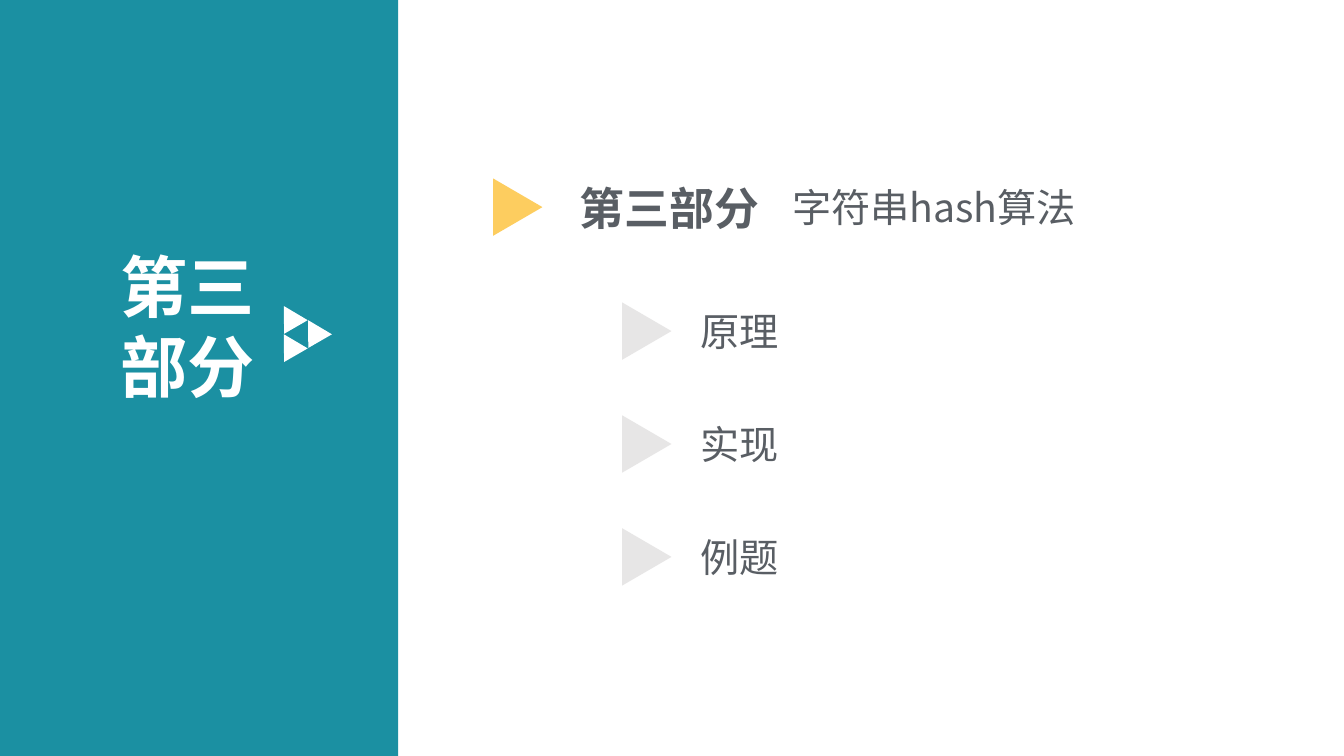
from lxml.etree import SubElement
from pptx import Presentation
from pptx.dml.color import RGBColor
from pptx.enum.shapes import MSO_SHAPE as Preset
from pptx.oxml.ns import qn
from pptx.util import Inches, Pt

WIDTH, HEIGHT = 13.33, 7.5
FONT = "Noto Sans CJK SC"
COLORS = {"panel": "1B90A2", "white": "FFFFFF", "accent": "FDCD5F",
          "text": "595E64", "marker": "E7E6E6"}

PART = "第三部分"
TOPIC = "字符串hash算法"
SECTIONS = ["原理", "实现", "例题"]

PANEL_WIDTH = 3.95
LOGO_SIZE = (0.27, 0.24)
LOGO_SPOTS = [(2.74, 3.02), (2.74, 3.3), (2.98, 3.16)]
MARKER_SIZE = (0.57, 0.49)
SECTION_TOP, SECTION_PITCH = 3.0, 1.12


def add_filled(page, preset, left, top, size, color, rotation=0):
    shape = page.shapes.add_shape(preset, *map(Inches, (left, top, *size)))
    shape.rotation = rotation
    shape.shadow.inherit = False
    shape.fill.solid()
    shape.fill.fore_color.rgb = RGBColor.from_string(COLORS[color])
    shape.line.fill.background()


def add_label(page, text, left, top, width, height, size, color="text", bold=False):
    box = page.shapes.add_textbox(*map(Inches, (left, top, width, height)))
    box.text_frame.word_wrap = True
    para = box.text_frame.paragraphs[0]
    para.text = text
    para.font.name = FONT
    para.font.size = Pt(size)
    para.font.bold = bold
    para.font.color.rgb = RGBColor.from_string(COLORS[color])
    properties = para._p.get_or_add_pPr().find(qn("a:defRPr"))
    SubElement(properties, qn("a:ea"), typeface=FONT)


deck = Presentation()
deck.slide_width, deck.slide_height = Inches(WIDTH), Inches(HEIGHT)
page = deck.slides.add_slide(deck.slide_layouts[6])

add_filled(page, Preset.RECTANGLE, 0, 0, (PANEL_WIDTH, HEIGHT), "panel")
add_label(page, PART, 1.1, 2.38, 1.74, 1.72, 48, "white", True)
for left, top in LOGO_SPOTS:
    add_filled(page, Preset.ISOSCELES_TRIANGLE, left, top, LOGO_SIZE, "white", 330)

add_filled(page, Preset.ISOSCELES_TRIANGLE, 4.85, 1.81, MARKER_SIZE, "accent", 90)
add_label(page, PART, 5.65, 1.74, 2.11, 0.64, 32, bold=True)
add_label(page, TOPIC, 7.76, 1.77, 4, 0.57, 28)

for row, section in enumerate(SECTIONS):
    top = SECTION_TOP + row * SECTION_PITCH
    add_filled(page, Preset.ISOSCELES_TRIANGLE, 6.13, top + 0.04, MARKER_SIZE, "marker", 90)
    add_label(page, section, 6.85, top, 4, 0.57, 28)

deck.save("out.pptx")
